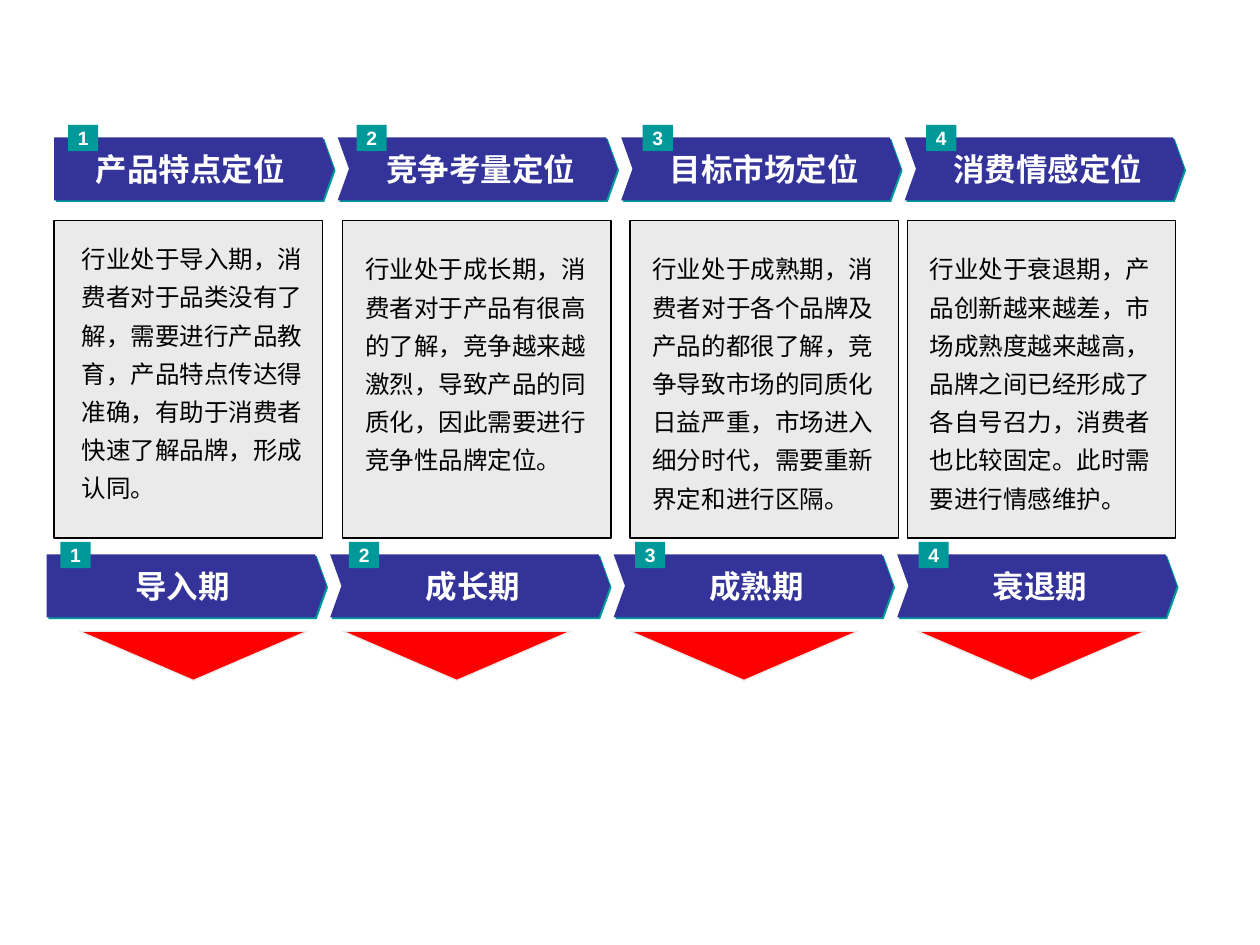
"""Build the slide that pairs four positioning strategies with four market phases."""
from lxml.etree import SubElement
from pptx import Presentation
from pptx.dml.color import RGBColor
from pptx.enum.shapes import MSO_SHAPE
from pptx.enum.text import MSO_ANCHOR, MSO_AUTO_SIZE, PP_ALIGN
from pptx.oxml.ns import qn
from pptx.util import Inches, Pt

STRATEGIES = ("产品特点定位", "竞争考量定位", "目标市场定位", "消费情感定位")
PHASES = ("导入期", "成长期", "成熟期", "衰退期")
DESCRIPTIONS = (
    "行业处于导入期，消费者对于品类没有了解，需要进行产品教育，产品特点传达得准确，有助于消费者快速了解品牌，形成认同。",
    "行业处于成长期，消费者对于产品有很高的了解，竞争越来越激烈，导致产品的同质化，因此需要进行竞争性品牌定位。",
    "行业处于成熟期，消费者对于各个品牌及产品的都很了解，竞争导致市场的同质化日益严重，市场进入细分时代，需要重新界定和进行区隔。",
    "行业处于衰退期，产品创新越来越差，市场成熟度越来越高，品牌之间已经形成了各自号召力，消费者也比较固定。此时需要进行情感维护。",
)
PANEL_LEFTS = (0.43, 2.72, 5.0, 7.2)
DESCRIPTION_PLACES = ((0.55, 1.82, 2.22), (2.8, 1.9, 1.92), (5.08, 1.9, 2.22), (7.28, 1.9, 2.22))
POINTER_LEFTS = (0.63, 2.72, 5.0, 7.28)
BADGE_OFFSETS = (0.11, 0.15, 0.17, 0.17)
BANNER_STEP = 2.25


def color(value):
    return RGBColor.from_string(value)


def write(shape, text, size=14, fill="000000", bold=False, align=PP_ALIGN.LEFT,
          anchor=MSO_ANCHOR.TOP, insets=(0, 0), spacing=None, grow=False):
    frame = shape.text_frame
    frame.word_wrap = True
    frame.auto_size = MSO_AUTO_SIZE.SHAPE_TO_FIT_TEXT if grow else MSO_AUTO_SIZE.NONE
    frame.vertical_anchor = anchor
    frame.margin_left = frame.margin_right = Inches(insets[0])
    frame.margin_top = frame.margin_bottom = Inches(insets[1])
    paragraph = frame.paragraphs[0]
    paragraph.alignment = align
    paragraph.line_spacing = spacing
    run = paragraph.add_run()
    run.text = text
    run.font.name = "Arial"
    run.font.size = Pt(size)
    run.font.bold = bold
    run.font.color.rgb = color(fill)


class PhaseSlide:
    navy, teal, red, gray, black, white = "333399", "009999", "FF0000", "EAEAEA", "000000", "FFFFFF"

    def __init__(self, slide):
        self.slide = slide

    def paint(self, shape, fill, line=None):
        shape.shadow.inherit = False
        shape.fill.solid()
        shape.fill.fore_color.rgb = color(fill)
        if line:
            shape.line.color.rgb = color(line)
            shape.line.width = Pt(0.75)
        else:
            shape.line.fill.background()

    def preset(self, kind, left, top, width, height, fill, line=None):
        shape = self.slide.shapes.add_shape(
            kind, Inches(left), Inches(top), Inches(width), Inches(height))
        self.paint(shape, fill, line)
        return shape

    def text(self, text, left, top, width, height, **style):
        box = self.slide.shapes.add_textbox(
            Inches(left), Inches(top), Inches(width), Inches(height))
        write(box, text, grow=True, **style)

    def banner(self, left, top, notched):
        corners = [(0, 0), (2.13, 0), (2.22, 0.25), (2.13, 0.5), (0, 0.5)]
        if notched:
            corners.append((0.09, 0.25))
        points = [(Inches(left + x), Inches(top + y)) for x, y in corners]
        builder = self.slide.shapes.build_freeform(*points[0])
        builder.add_line_segments(points[1:], close=True)
        banner = builder.convert_to_shape()
        self.paint(banner, self.navy)
        effects = banner.element.spPr.find(qn("a:effectLst"))
        shadow = SubElement(effects, qn("a:outerShdw"), dist=str(Pt(1.4)), dir="2700000",
                            algn="ctr", rotWithShape="0")
        SubElement(shadow, qn("a:srgbClr"), val=self.teal)

    def badge(self, number, left, top):
        badge = self.preset(MSO_SHAPE.RECTANGLE, left, top, 0.24, 0.21, self.teal)
        write(badge, str(number), size=11, fill=self.white, bold=True,
              align=PP_ALIGN.CENTER, anchor=MSO_ANCHOR.MIDDLE)

    def banner_row(self, headings, left, top):
        for index, heading in enumerate(headings):
            start = left + index * BANNER_STEP
            inset, width = (0.25, 1.77) if index else (0.1, 1.96)
            self.banner(start, top, notched=index > 0)
            self.text(heading, start + inset, top + 0.1, width, 0.3, size=18, fill=self.white,
                      bold=True, align=PP_ALIGN.CENTER, anchor=MSO_ANCHOR.MIDDLE)
            self.badge(index + 1, start + BADGE_OFFSETS[index], top - 0.1)

    def panel(self, description, panel_left, place):
        left, top, height = place
        self.preset(MSO_SHAPE.RECTANGLE, panel_left, 1.75, 2.13, 2.52, self.gray, self.black)
        self.text(description, left, top, 1.97, height, insets=(0.1, 0.05), spacing=1.3)

    def pointer(self, left):
        self.preset(MSO_SHAPE.FLOWCHART_MERGE, left, 5.01, 1.81, 0.39, self.red, self.gray)


def main():
    presentation = Presentation()
    presentation.slide_width, presentation.slide_height = Inches(10), Inches(7.5)
    page = PhaseSlide(presentation.slides.add_slide(presentation.slide_layouts[6]))
    page.banner_row(STRATEGIES, 0.43, 1.09)
    page.banner_row(PHASES, 0.37, 4.4)
    for panel in zip(DESCRIPTIONS, PANEL_LEFTS, DESCRIPTION_PLACES):
        page.panel(*panel)
    for left in POINTER_LEFTS:
        page.pointer(left)
    presentation.save("out.pptx")


if __name__ == "__main__":
    main()
